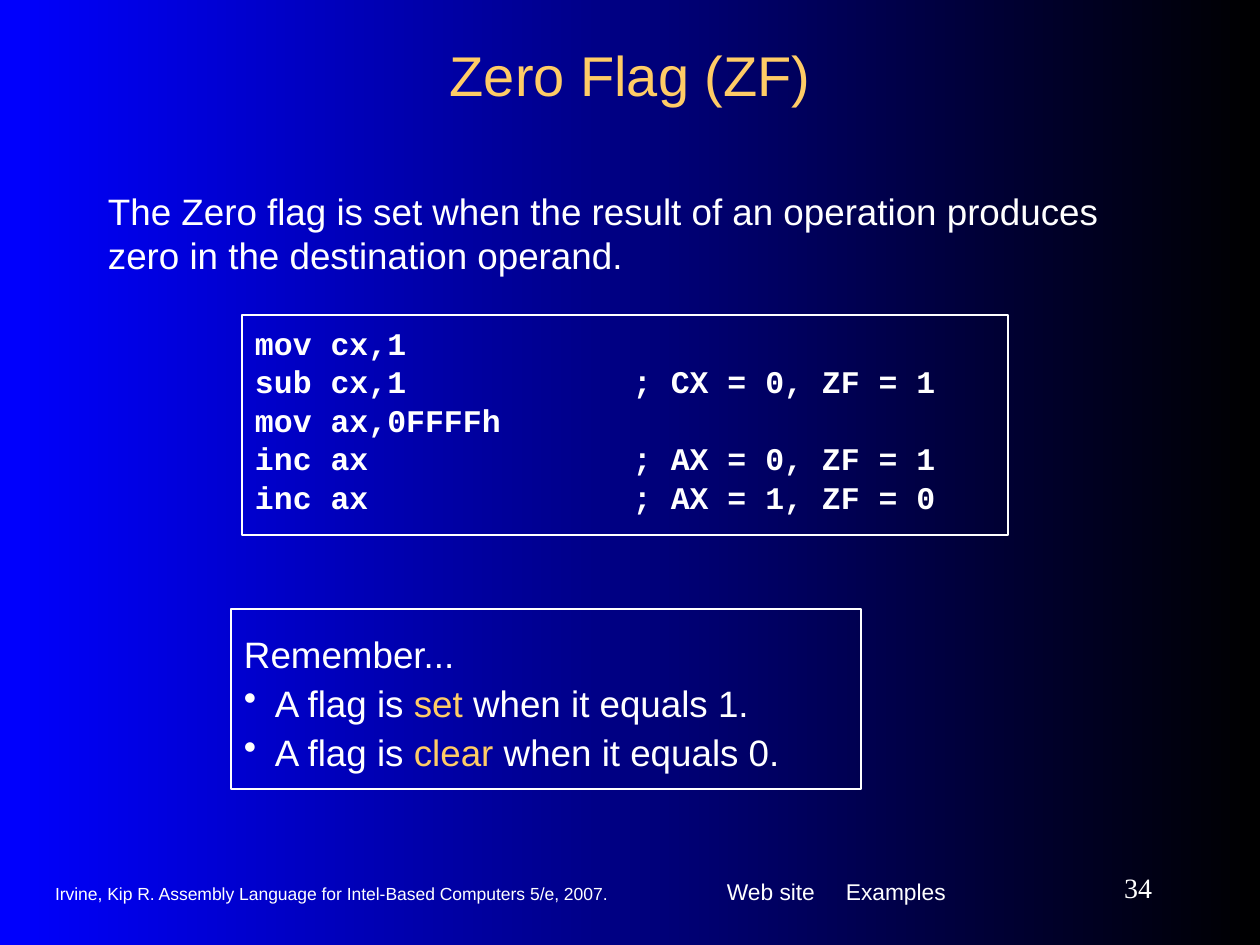
from lxml import etree
from pptx import Presentation
from pptx.dml.color import RGBColor
from pptx.enum.shapes import MSO_SHAPE
from pptx.enum.text import MSO_ANCHOR, PP_ALIGN
from pptx.oxml.ns import qn
from pptx.util import Emu, Pt

PX = 914400 // 126
RECT = MSO_SHAPE.RECTANGLE
TOP, MIDDLE = MSO_ANCHOR.TOP, MSO_ANCHOR.MIDDLE
LEFT, CENTER, RIGHT = PP_ALIGN.LEFT, PP_ALIGN.CENTER, PP_ALIGN.RIGHT
COLORS = {"text": "FFFFFF", "accent": "FFCC66", "start": "0000FF", "end": "000000"}

CODE = [
    "mov cx,1",
    "sub cx,1\t; CX = 0, ZF = 1",
    "mov ax,0FFFFh",
    "inc ax\t; AX = 0, ZF = 1",
    "inc ax\t; AX = 1, ZF = 0",
]
RULES = [("set", 1), ("clear", 0)]


def px(n):
    return Emu(n * PX)


def color(name):
    return RGBColor.from_string(COLORS[name])


def paint(slide):
    """Fill the background from left to right."""
    fill = slide.background.fill
    fill.gradient()
    fill.gradient_angle = 0
    for stop, name in zip(fill.gradient_stops, ("start", "end")):
        stop.color.rgb = color(name)


def setup(shape, inset, anchor):
    """Set wrapping, insets and anchor; return the text frame."""
    frame = shape.text_frame
    frame.word_wrap = True
    frame.vertical_anchor = anchor
    frame.margin_left = frame.margin_right = px(13)
    frame.margin_top, frame.margin_bottom = px(inset), px(6)
    return frame


def add_box(slide, area, inset=6, anchor=MIDDLE):
    return setup(slide.shapes.add_textbox(*map(px, area)), inset, anchor)


def add_panel(slide, area, inset):
    """Add an outlined rectangle for text."""
    shape = slide.shapes.add_shape(RECT, *map(px, area))
    shape.shadow.inherit = False
    shape.fill.background()
    shape.line.color.rgb = color("text")
    shape.line.width = Pt(0.75)
    return setup(shape, inset, TOP)


def add_para(frame, parts, size, face="Arial", tone="text", align=LEFT,
             pitch=None, before=None, tab=None, bullet=False, bold=False):
    """Write one paragraph; parts are pairs of text and colour name."""
    para = frame.paragraphs[0]
    if para.runs:
        para = frame.add_paragraph()
    para.alignment = align
    if pitch:
        para.line_spacing = Pt(pitch)
    if before:
        para.space_before = Pt(before)
    props = para._p.get_or_add_pPr()
    if bullet:
        props.set("marL", str(px(31)))
        props.set("indent", str(px(-31)))
        etree.SubElement(props, qn("a:buChar"), char="•")
    if tab:
        tabs = etree.SubElement(props, qn("a:tabLst"))
        etree.SubElement(tabs, qn("a:tab"), pos=str(px(tab)), algn="l")
    font = para.font
    font.name, font.size, font.bold = face, Pt(size), bold
    font.color.rgb = color(tone)
    for text, hue in parts:
        run = para.add_run()
        run.text = text
        if hue != tone:
            run.font.color.rgb = color(hue)


def main():
    deck = Presentation()
    deck.slide_width, deck.slide_height = px(1260), px(945)
    slide = deck.slides.add_slide(deck.slide_layouts[6])
    paint(slide)

    # Footer
    links = add_box(slide, (714, 861, 294, 66), 17, TOP)
    add_para(links, [("Web site\tExamples", "text")], 13, tab=119)
    source = add_box(slide, (42, 873, 662, 42))
    add_para(source, [("Irvine, Kip R. Assembly Language for Intel-Based "
                       "Computers 5/e, 2007.", "text")], 10)
    number = add_box(slide, (1029, 861, 136, 53))
    add_para(number, [("34", "text")], 16, face="Times New Roman", align=RIGHT)

    # Title and definition
    title = add_box(slide, (95, 32, 1071, 84))
    add_para(title, [("Zero Flag (ZF)", "accent")], 32, tone="accent", align=CENTER)
    body = add_box(slide, (95, 168, 1061, 126), 21, TOP)
    add_para(body, [("The Zero flag is set when the result of an operation "
                     "produces zero in the destination operand.", "text")],
             21, pitch=25)

    # Code sample
    code = add_panel(slide, (242, 315, 766, 220), 8)
    for line in CODE:
        add_para(code, [(line, "text")], 18, face="Courier New", pitch=22,
                 tab=378, bold=True)

    # Reminder
    note = add_panel(slide, (231, 609, 630, 180), 23)
    add_para(note, [("Remember...", "text")], 21)
    for word, value in RULES:
        parts = [("A flag is ", "text"), (word, "accent"),
                 (f" when it equals {value}.", "text")]
        add_para(note, parts, 21, pitch=28, bullet=True)

    deck.save("out.pptx")


if __name__ == "__main__":
    main()
